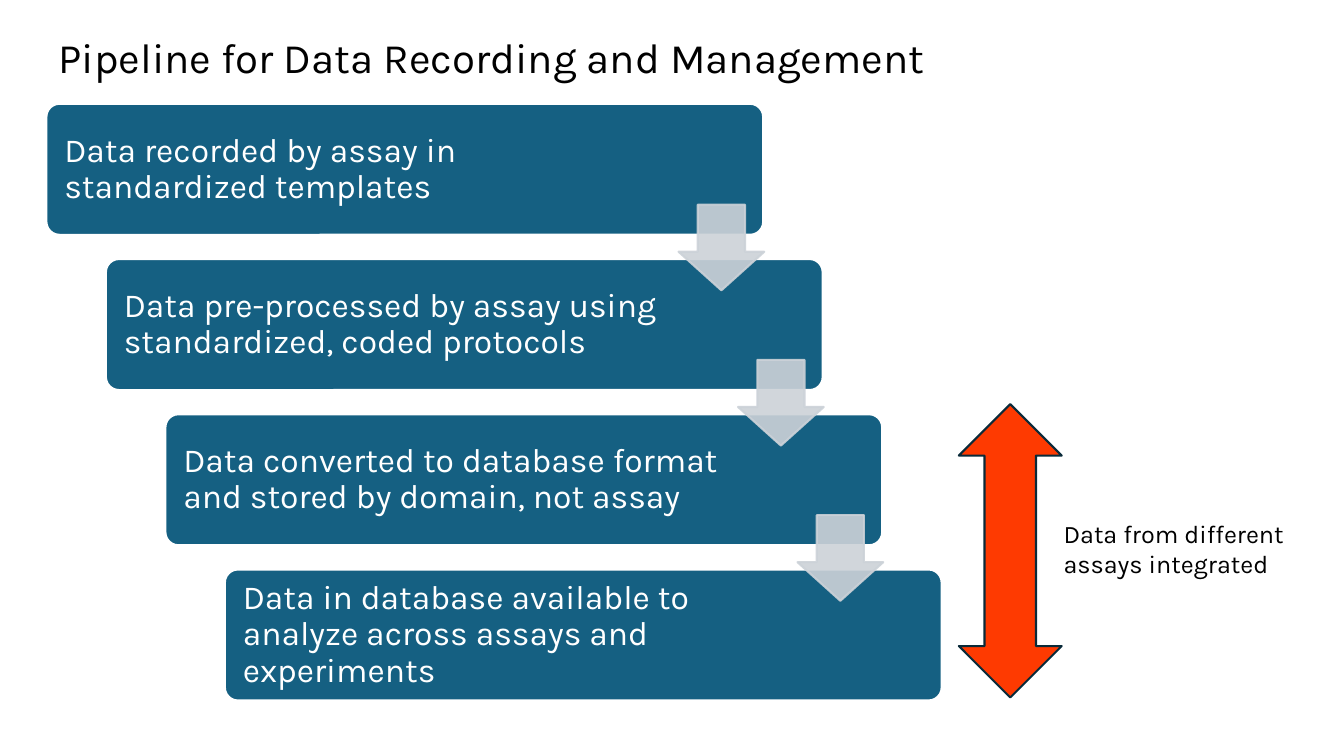
from pptx import Presentation
from pptx.dml.color import RGBColor
from pptx.enum.shapes import MSO_SHAPE as SHAPE
from pptx.enum.text import MSO_ANCHOR as ANCHOR, MSO_AUTO_SIZE as AUTO_SIZE, PP_ALIGN as ALIGN
from pptx.oxml.ns import qn
from pptx.util import Inches, Pt
from lxml import etree

COLORS = {"step": "156082", "white": "FFFFFF", "flow": "CCD2D8",
          "span": "FE3A01", "span_edge": "092A39", "text": "000000"}

STEPS = [
    "Data recorded by assay in standardized templates",
    "Data pre-processed by assay using standardized, coded protocols",
    "Data converted to database format and stored by domain, not assay",
    "Data in database available to analyze across assays and experiments",
]
STEP_DX, STEP_DY = 0.59, 1.54

prs = Presentation()
prs.slide_width, prs.slide_height = Inches(13.33), Inches(7.5)
slide = prs.slides.add_slide(prs.slide_layouts[5])


def add_block(preset, left, top, width, height, fill, line):
    block = slide.shapes.add_shape(preset, Inches(left), Inches(top), Inches(width), Inches(height))
    block.shadow.inherit = False
    block.fill.solid()
    block.fill.fore_color.rgb = RGBColor.from_string(COLORS[fill])
    block.line.color.rgb = RGBColor.from_string(COLORS[line])
    block.line.width = Pt(1.5)
    return block


def write(frame, text, size, color, anchor=ANCHOR.TOP):
    frame.text = text
    frame.word_wrap = True
    frame.auto_size = AUTO_SIZE.NONE
    frame.vertical_anchor = anchor
    paragraph = frame.paragraphs[0]
    paragraph.alignment = ALIGN.LEFT
    font = paragraph.runs[0].font
    font.name, font.size = "Karla", Pt(size)
    font.color.rgb = RGBColor.from_string(COLORS[color])


# Title
title = slide.shapes.title
title.left, title.top, title.width, title.height = map(Inches, (0.46, 0.25, 11.94, 0.64))
write(title.text_frame, "Pipeline for Data Recording and Management", 30, "text")
title.text_frame.margin_left = title.text_frame.margin_right = Inches(0.12)
title.text_frame.margin_top = title.text_frame.margin_bottom = Inches(0.06)

# Staircase of pipeline steps
for i, step_text in enumerate(STEPS):
    step = add_block(SHAPE.ROUNDED_RECTANGLE, 0.46 + i * STEP_DX, 1.03 + i * STEP_DY,
                     7.11, 1.3, "step", "white")
    step.adjustments[0] = 0.1
    write(step.text_frame, step_text, 24, "white", ANCHOR.MIDDLE)
    step.text_frame.margin_left, step.text_frame.margin_right = Inches(0.14), Inches(1.58)
    step.text_frame.paragraphs[0].line_spacing = 0.9

# Translucent arrows from each step to the next
for i in range(len(STEPS) - 1):
    flow = add_block(SHAPE.DOWN_ARROW, 6.73 + i * STEP_DX, 2.03 + i * STEP_DY,
                     0.85, 0.85, "flow", "flow")
    flow.adjustments[0], flow.adjustments[1] = 0.55, 0.45
    for color in flow.element.spPr.iter(qn("a:srgbClr")):
        etree.SubElement(color, qn("a:alpha"), val="90000")

# Integration span and its label
add_block(SHAPE.UP_DOWN_ARROW, 9.51, 4.01, 1.02, 2.91, "span", "span_edge")
integration = slide.shapes.add_textbox(Inches(10.45), Inches(5.09), Inches(2.4), Inches(0.71))
write(integration.text_frame, "Data from different assays integrated", 18, "text")

prs.save("out.pptx")
